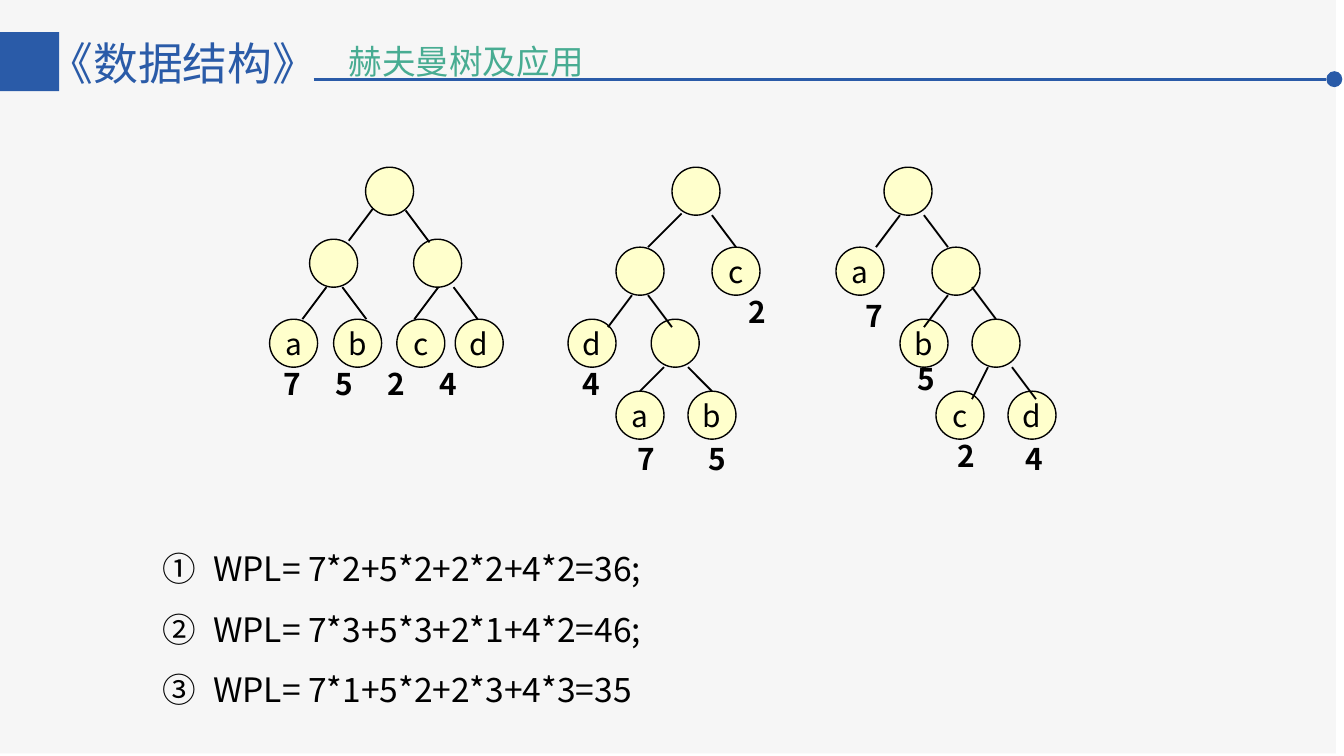
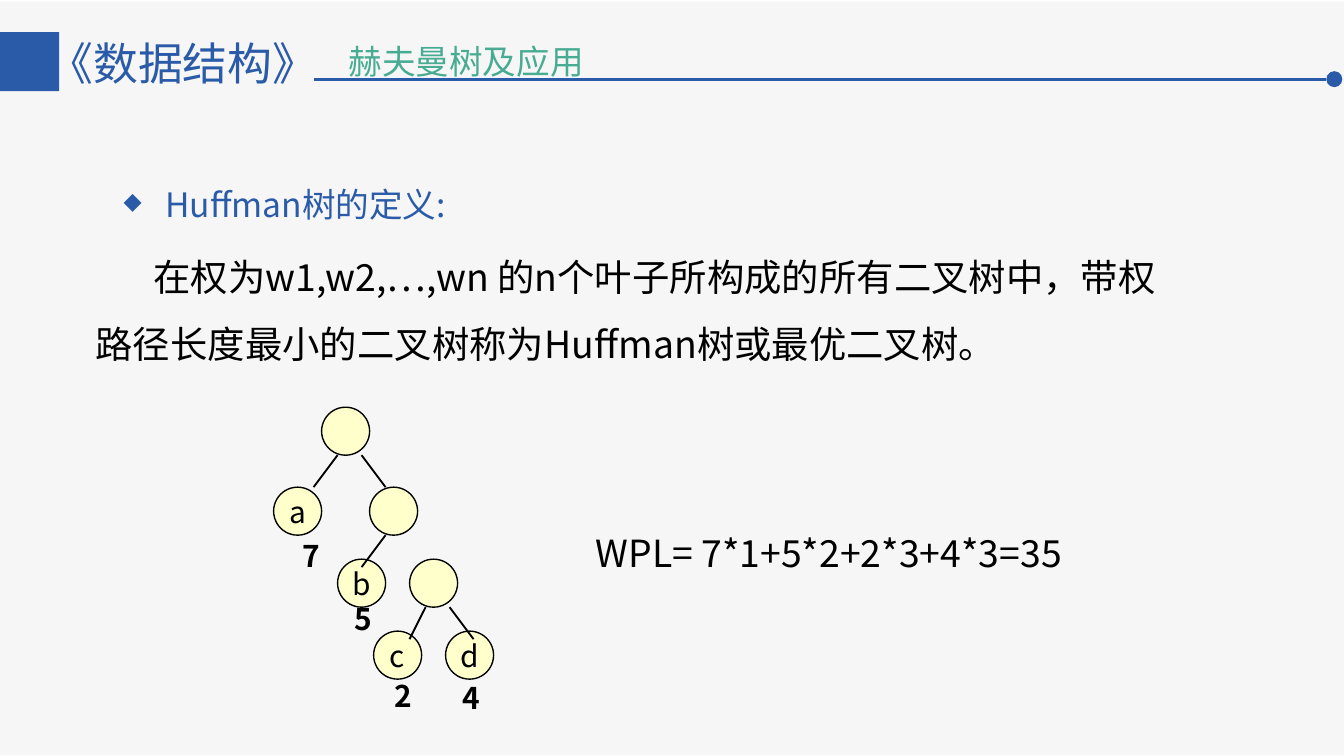
import dataclasses

import pptx
import pptx.dml.color
import pptx.enum.shapes
import pptx.enum.text
import pptx.oxml.ns
import pptx.util
from lxml import etree


@dataclasses.dataclass(frozen=True)
class Theme:
    font: str = "Noto Sans CJK JP"
    blue: str = "2A5BA8"
    green: str = "48AC92"
    paper: str = "F6F6F6"
    node: str = "FFFFCC"
    ink: str = "000000"
    title: int = 24
    lead: int = 20
    body: int = 18
    label: int = 16
    rule: float = 1.75
    edge: float = 1
    outline: float = 0.75


theme = Theme()
qn = pptx.oxml.ns.qn
Shape = pptx.enum.shapes.MSO_SHAPE

deck = pptx.Presentation()
deck.slide_width = pptx.util.Inches(10)
deck.slide_height = deck.slide_width * 9 // 16

# All positions are columns and rows of a square grid, 168 columns wide.
COLUMNS = 168
cell = deck.slide_width / COLUMNS
NODE = 6


def draw(page, kind, at, fill, outline=None):
    shape = page.shapes.add_shape(kind, *[round(value * cell) for value in at])
    shape.shadow.inherit = False
    shape.fill.solid()
    shape.fill.fore_color.rgb = pptx.dml.color.RGBColor.from_string(fill)
    if outline:
        shape.line.color.rgb = pptx.dml.color.RGBColor.from_string(outline)
        shape.line.width = pptx.util.Pt(theme.outline)
    else:
        shape.line.fill.background()
    return shape


def write(page, text, at=None, *, box=None, size=theme.body, color=theme.ink, bold=False,
          wrap=True, inset=(0.1, 0.05), spacing=None, margin=0, indent=0, tracking=0, bullet=()):
    """Fill a given box, or a new text box; bullet lists (tag, attributes) pairs."""
    centred = box is not None
    if not centred:
        box = page.shapes.add_textbox(*[round(value * cell) for value in at])
    frame = box.text_frame
    frame.word_wrap = wrap
    frame.margin_left = frame.margin_right = pptx.util.Inches(inset[0])
    frame.margin_top = frame.margin_bottom = pptx.util.Inches(inset[1])
    if centred:
        frame.vertical_anchor = pptx.enum.text.MSO_ANCHOR.MIDDLE
    for number, line in enumerate(text.split("\n")):
        para = frame.add_paragraph() if number else frame.paragraphs[0]
        properties = para._p.get_or_add_pPr()
        properties.set("marL", str(pptx.util.Inches(margin)))
        properties.set("indent", str(pptx.util.Inches(indent)))
        for tag, attributes in bullet:
            etree.SubElement(properties, qn(tag), attributes)
        if centred:
            para.alignment = pptx.enum.text.PP_ALIGN.CENTER
        if spacing:
            para.line_spacing = spacing
        span = para.add_run()
        span.text = line
        span.font.size = pptx.util.Pt(size)
        span.font.bold = bold
        span.font.color.rgb = pptx.dml.color.RGBColor.from_string(color)
        span.font.name = theme.font
        style = span._r.get_or_add_rPr()
        etree.SubElement(style, qn("a:ea"), {"typeface": theme.font})
        if tracking:
            style.set("spc", str(round(tracking * 100)))


# Trees, in cells from the corner of the root:
# nodes (column, row, letter), weights (column, row, digit), edges (column, row, across, down).
balanced = {
    "nodes": [(0, 0, ""), (-7, 9, ""), (6, 9, ""),
              (-12, 19, "a"), (-4, 19, "b"), (3.9, 19, "c"), (11.2, 19, "d")],
    "weights": [],
    "edges": [(0.9, 5.2, -3, 4), (5, 5.4, 3, 4), (-4.9, 15, -3, 4),
              (-2.9, 15, 3, 4), (9.1, 15, -3, 4), (11, 15, 3, 4)],
}
left_deep = {
    "nodes": [(0, 0, ""), (-7, 10, ""), (5, 10, "c"), (-13, 19, "d"),
              (-2.6, 19, ""), (-7, 28, "a"), (2, 28, "b")],
    "weights": [(-12.8, 24, "4"), (-6, 33.3, "7"), (7.9, 15, "2"), (2.9, 33.3, "5")],
    "edges": [(1.2, 5.8, -4.2, 4.2), (5, 6, 3, 4), (-5, 16, -3, 4),
              (-3, 16, 3, 4), (-1, 25, -3, 3), (2, 25, 3, 3)],
}
right_deep = {
    "nodes": [(0, 0, ""), (-6, 10, "a"), (6, 10, ""), (2, 19, "b"),
              (11, 19, ""), (6.5, 28, "c"), (15.5, 28, "d")],
    "weights": [(-4, 15.5, "7"), (2.5, 23.4, "5"), (7.5, 33, "2"), (16, 33.3, "4")],
    "edges": [(2, 6, -3, 4), (5, 6, 3, 4), (8, 16, -3, 4),
              (13, 25, -2, 4), (16, 25, 3, 4), (11, 15, 3, 4)],
}
# The definition slide leaves out the edge down to the inner node.
right_open = {**right_deep, "edges": right_deep["edges"][:-1]}

wpl_list = "WPL= 7*2+5*2+2*2+4*2=36;\nWPL= 7*3+5*3+2*1+4*2=46;\nWPL= 7*1+5*2+2*3+4*3=35"
definition = ("在权为w1,w2,…,wn 的n个叶子所构成的所有二叉树中，"
              "带权路径长度最小的二叉树称为Huffman树或最优二叉树。")

slides = [
    {
        "paper": (-1, 0),
        "trees": [(45.7, 20.9, balanced), (84, 20.9, left_deep), (110.5, 20.9, right_deep)],
        "texts": [
            (wpl_list, (18.6, 65.2, 108.9, 24.5),
             dict(spacing=1.5, margin=0.38, indent=-0.38,
                  bullet=[("a:buAutoNum", {"type": "circleNumDbPlain"})])),
            ("7 5 2 4", (33.8, 44.9, 33.3, 6.2),
             dict(size=theme.label, bold=True, tracking=7.4)),
        ],
    },
    {
        "paper": (0, 0.2),
        "trees": [(40.2, 50.9, right_open)],
        "texts": [
            ("Huffman树的定义:", (13.8, 19.6, 54.3, 8.6),
             dict(color=theme.blue, spacing=1.5, margin=0.31, indent=-0.31,
                  bullet=[("a:buSzPct", {"val": "70000"}), ("a:buChar", {"char": "◆"})])),
            (definition, (10.3, 28.1, 140, 18.6),
             dict(size=theme.lead, spacing=1.5, indent=0.43)),
            ("WPL= 7*1+5*2+2*3+4*3=35", (72.8, 62.6, 87, 9.4),
             dict(size=theme.lead, spacing=1.5)),
        ],
    },
]

for content in slides:
    page = deck.slides.add_slide(deck.slide_layouts[6])

    # Shared header
    draw(page, Shape.RECTANGLE, (*content["paper"], COLUMNS, 94.2), theme.paper)
    write(page, "《数据结构》", (4.4, 3.7, 38, 8.4), size=theme.title, color=theme.blue)
    draw(page, Shape.RECTANGLE, (0, 4, 7.4, 7.4), theme.blue)
    write(page, "赫夫曼树及应用", (42.4, 4.4, 51.6, 6.6), color=theme.green, inset=(0.07, 0.04))
    draw(page, Shape.OVAL, (165.8, 8.9, 2, 2), theme.blue)
    strokes = [(39.2, 9.9, 126.6, 0, theme.blue, theme.rule)]

    for text, at, look in content["texts"]:
        write(page, text, at, **look)

    for left, top, tree in content["trees"]:
        for column, row, letter in tree["nodes"]:
            circle = draw(page, Shape.OVAL, (left + column, top + row, NODE, NODE),
                          theme.node, theme.ink)
            if letter:
                write(page, letter, box=circle, size=theme.label, wrap=False)
        for column, row, digit in tree["weights"]:
            write(page, digit, (left + column, top + row, 5.4, 5.5),
                  size=theme.label, bold=True, wrap=False)
        strokes += [(left + column, top + row, across, down, theme.ink, theme.edge)
                    for column, row, across, down in tree["edges"]]

    for column, row, across, down, color, width in strokes:
        ends = (column, row, column + across, row + down)
        line = page.shapes.add_connector(pptx.enum.shapes.MSO_CONNECTOR.STRAIGHT,
                                         *[round(value * cell) for value in ends])
        line.line.color.rgb = pptx.dml.color.RGBColor.from_string(color)
        line.line.width = pptx.util.Pt(width)
        etree.SubElement(line._element.spPr, qn("a:effectLst"))

deck.save("out.pptx")
